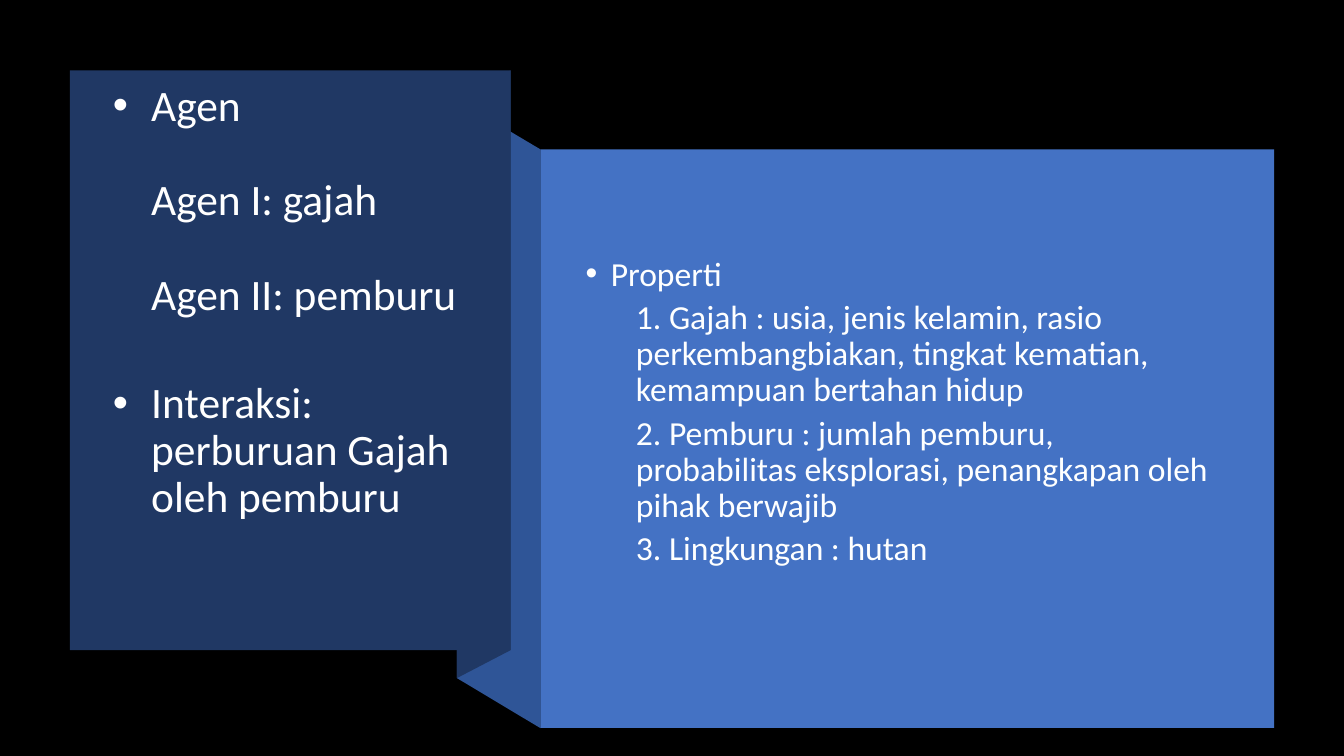
from lxml import etree
from pptx import Presentation
from pptx.dml.color import RGBColor
from pptx.enum.shapes import MSO_SHAPE
from pptx.enum.text import MSO_ANCHOR, MSO_AUTO_SIZE, PP_ALIGN
from pptx.oxml.ns import qn
from pptx.util import Inches, Pt

RECTANGLE = MSO_SHAPE.RECTANGLE
TOP, LEFT, NO_FIT = MSO_ANCHOR.TOP, PP_ALIGN.LEFT, MSO_AUTO_SIZE.NONE

# Content: (text, bulleted, left margin in inches, space before in points)
AGENTS = [
    ("Agen\u00a0", True, 0.38, 0),
    ("Agen I: gajah", False, 0.38, 34),
    ("Agen II: pemburu", False, 0.38, 34),
    ("Interaksi: perburuan Gajah oleh pemburu", True, 0.38, 44),
]
PROPERTIES = [
    ("Properti", True, 0.25, 0),
    ("1. Gajah : usia, jenis kelamin, rasio perkembangbiakan, tingkat kematian, "
     "kemampuan bertahan hidup", False, 0.5, 5),
    ("2. Pemburu : jumlah pemburu, probabilitas eksplorasi, penangkapan oleh "
     "pihak berwajib", False, 0.5, 5),
    ("3. Lingkungan : hutan", False, 0.5, 5),
]
FONT = "Calibri"
COLORS = {"background": "000000", "navy": "203864", "fold": "2F5597",
          "blue": "4472C4", "agents": "FFFFFF", "properties": "FEFFFF"}

# Panel edges, in percent of the slide's width and height
NAVY_LEFT, FOLD_LEFT, NAVY_RIGHT, BLUE_LEFT, BLUE_RIGHT = 5.2, 34, 38, 40.2, 94.8
NAVY_TOP, FOLD_TOP, BLUE_TOP = 9.3, 13.2, 19.75
NAVY_BOTTOM, FOLD_BOTTOM, BLUE_BOTTOM = 86, 89.7, 96.3

# Text areas: left, top, right, bottom in percent
AGENTS_AREA = (7.65, 10.4, 35.48, 80.8)
PROPERTIES_AREA = (42.83, 33.35, 91.66, 88.25)

prs = Presentation()
prs.slide_width, prs.slide_height = Inches(13.33), Inches(7.5)
slide = prs.slides.add_slide(prs.slide_layouts[5])
slide.background.fill.solid()
slide.background.fill.fore_color.rgb = RGBColor.from_string(COLORS["background"])


def point(x, y):
    return int(prs.slide_width * x / 100), int(prs.slide_height * y / 100)


def box(left, top, right, bottom):
    return *point(left, top), *point(right - left, bottom - top)


def paint(shape, color):
    shape.shadow.inherit = False
    shape.fill.solid()
    shape.fill.fore_color.rgb = RGBColor.from_string(COLORS[color])
    shape.line.fill.background()


def add_panel(area, color):
    paint(slide.shapes.add_shape(RECTANGLE, *box(*area)), color)


def add_fold(corners, color):
    start, *others = [point(*corner) for corner in corners]
    builder = slide.shapes.build_freeform(*start)
    builder.add_line_segments(others, close=True)
    paint(builder.convert_to_shape(), color)


def write(frame, lines, size, color):
    frame.word_wrap = True
    frame.auto_size = NO_FIT
    frame.vertical_anchor = TOP
    for number, (text, bulleted, margin, gap) in enumerate(lines):
        paragraph = frame.add_paragraph() if number else frame.paragraphs[0]
        paragraph.alignment = LEFT
        paragraph.line_spacing = 0.9
        paragraph.space_before = Pt(gap)
        properties = paragraph._p.get_or_add_pPr()
        properties.set("marL", str(Inches(margin)))
        properties.set("indent", str(-Inches(margin) if bulleted else 0))
        if bulleted:
            etree.SubElement(properties, qn("a:buFont"), typeface="Arial")
            etree.SubElement(properties, qn("a:buChar"), char="•")
        else:
            etree.SubElement(properties, qn("a:buNone"))
        run = paragraph.add_run()
        run.text = text
        run.font.name = FONT
        run.font.size = Pt(size)
        run.font.color.rgb = RGBColor.from_string(COLORS[color])


# Folded ribbon and its two panels
add_fold([(BLUE_LEFT, BLUE_BOTTOM), (FOLD_LEFT, FOLD_BOTTOM),
          (FOLD_LEFT, FOLD_TOP), (BLUE_LEFT, BLUE_TOP)], "fold")
add_fold([(NAVY_RIGHT, NAVY_BOTTOM), (FOLD_LEFT, FOLD_BOTTOM),
          (FOLD_LEFT, FOLD_TOP), (NAVY_RIGHT, NAVY_TOP)], "navy")
add_panel((NAVY_LEFT, NAVY_TOP, NAVY_RIGHT, NAVY_BOTTOM), "navy")
add_panel((BLUE_LEFT, BLUE_TOP, BLUE_RIGHT, BLUE_BOTTOM), "blue")

# Agents in the title, brought in front of the panels
agents = slide.shapes.title
agents.left, agents.top, agents.width, agents.height = box(*AGENTS_AREA)
slide.shapes._spTree.append(agents._element)
write(agents.text_frame, AGENTS, 31, "agents")

# Properties on the blue panel
properties_box = slide.shapes.add_textbox(*box(*PROPERTIES_AREA))
write(properties_box.text_frame, PROPERTIES, 24, "properties")

prs.save("out.pptx")
